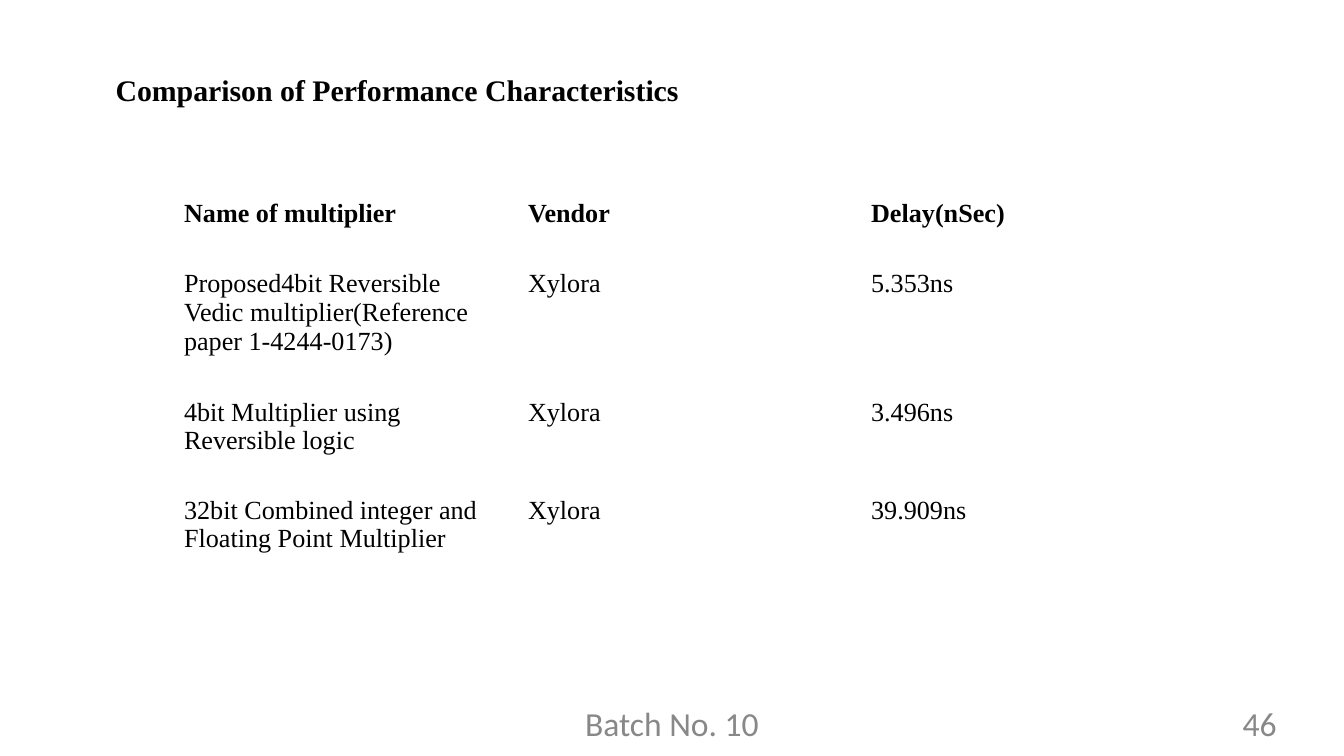
from pptx import Presentation
from pptx.dml.color import RGBColor
from pptx.enum.text import MSO_ANCHOR, MSO_AUTO_SIZE, PP_ALIGN
from pptx.util import Pt

SERIF = "Times New Roman"
SANS = "Calibri"
BLACK = "000000"
GREY = "888888"

COLUMN_WIDTHS = [184.3, 183.8, 183.8]
ROW_HEIGHTS = [37.5, 69, 52.5, 52.5]
MULTIPLIERS = [
    ["Name of multiplier", "Vendor", "Delay(nSec)"],
    ["Proposed4bit Reversible Vedic multiplier(Reference paper 1-4244-0173)", "Xylora", "5.353ns"],
    ["4bit Multiplier using Reversible logic", "Xylora", "3.496ns"],
    ["32bit Combined integer and Floating Point Multiplier", "Xylora", "39.909ns"],
]


def color(value):
    return RGBColor.from_string(value)


def write(frame, text, size=14, font=SERIF, fill=BLACK, bold=False,
          align=PP_ALIGN.LEFT, inset=(7.2, 3.6)):
    frame.word_wrap = True
    frame.vertical_anchor = MSO_ANCHOR.TOP
    frame.margin_left = frame.margin_right = Pt(inset[0])
    frame.margin_top = frame.margin_bottom = Pt(inset[1])
    para = frame.paragraphs[0]
    para.alignment = align
    span = para.add_run()
    span.text = text
    span.font.size = Pt(size)
    span.font.name = font
    span.font.bold = bold
    span.font.color.rgb = color(fill)


def add_heading(page, left, top, width, height):
    box = page.shapes.title
    box.left, box.top, box.width, box.height = map(Pt, (left, top, width, height))
    box.text_frame.auto_size = MSO_AUTO_SIZE.NONE
    write(box.text_frame, "Comparison of Performance Characteristics", size=16, bold=True)


def add_comparison(page, left, top):
    table = page.shapes.add_table(
        len(ROW_HEIGHTS), len(COLUMN_WIDTHS), Pt(left), Pt(top),
        Pt(sum(COLUMN_WIDTHS)), Pt(sum(ROW_HEIGHTS))).table
    table.first_row = table.horz_banding = False
    for column, width in zip(table.columns, COLUMN_WIDTHS):
        column.width = Pt(width)
    for index, (row, height) in enumerate(zip(table.rows, ROW_HEIGHTS)):
        row.height = Pt(height)
        for cell, text in zip(row.cells, MULTIPLIERS[index]):
            cell.fill.background()
            write(cell.text_frame, text, bold=index == 0)


def add_footer(page, left, top, width, height):
    number_width = 165.6
    parts = [
        ("Batch No. 10", left, 230.4, PP_ALIGN.CENTER),
        ("46", left + width - number_width, number_width, PP_ALIGN.RIGHT),
    ]
    for text, start, span_width, align in parts:
        box = page.shapes.add_textbox(Pt(start), Pt(top), Pt(span_width), Pt(height))
        write(box.text_frame, text, size=18, font=SANS, fill=GREY, align=align, inset=(0, 0))


def main():
    deck = Presentation()
    deck.slide_width, deck.slide_height = Pt(720), Pt(405)
    page = deck.slides.add_slide(deck.slide_layouts[5])
    page.background.fill.solid()
    page.background.fill.fore_color.rgb = color("FFFFFF")
    add_heading(page, 54.7, 34.6, 334.8, 26.6)
    add_comparison(page, 91.4, 103)
    add_footer(page, 244.8, 376.6, 439.2, 20.2)
    deck.save("out.pptx")


if __name__ == "__main__":
    main()
